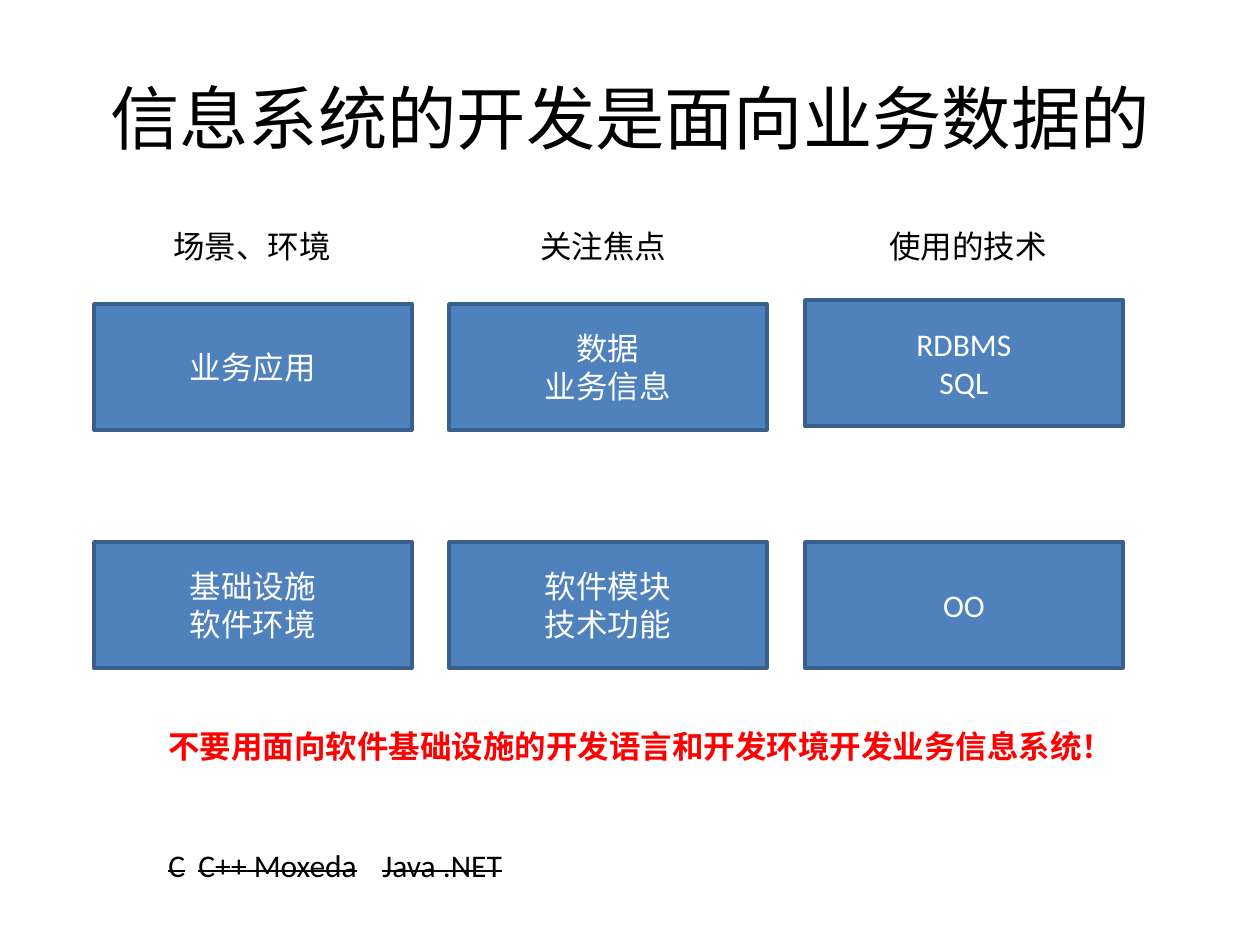
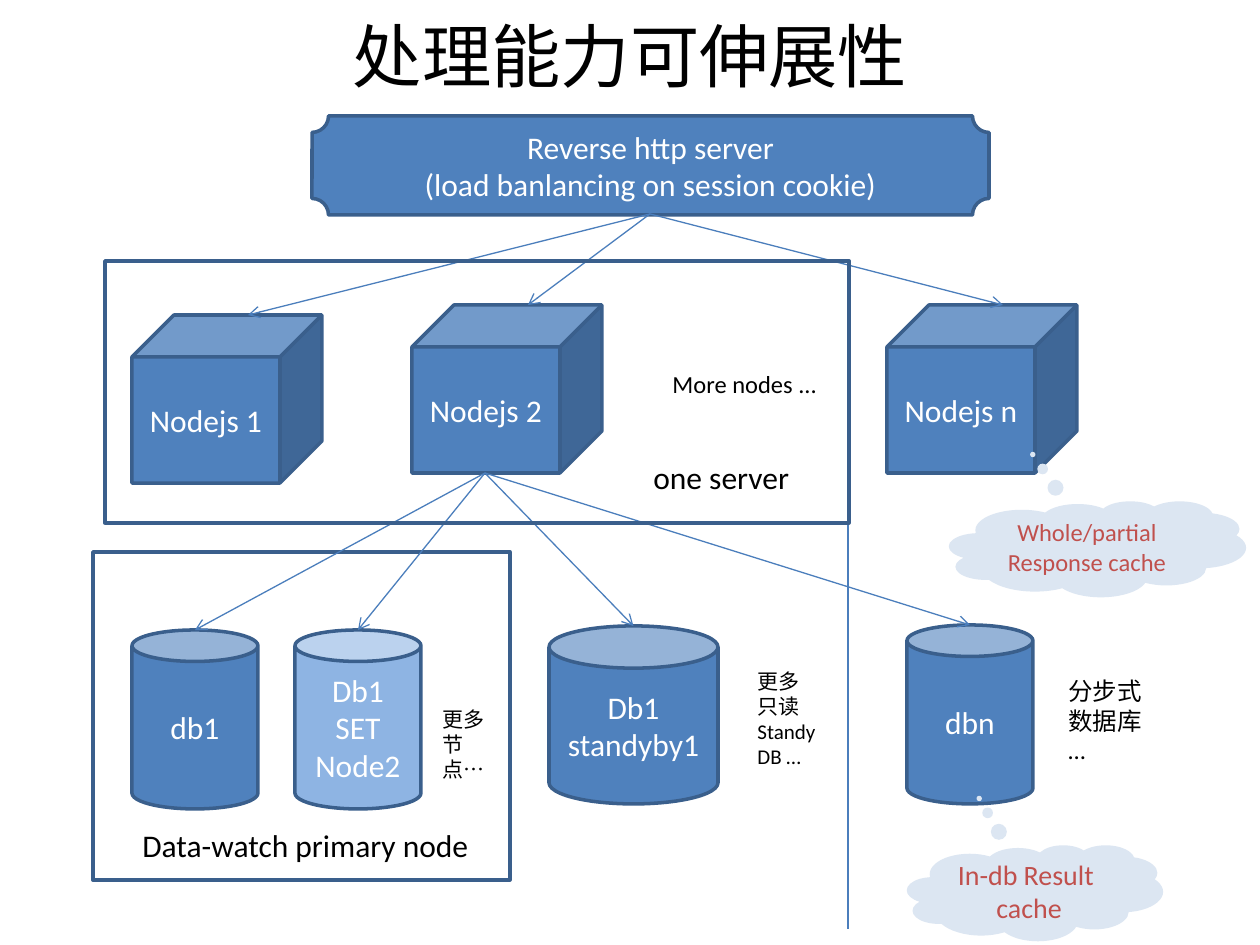
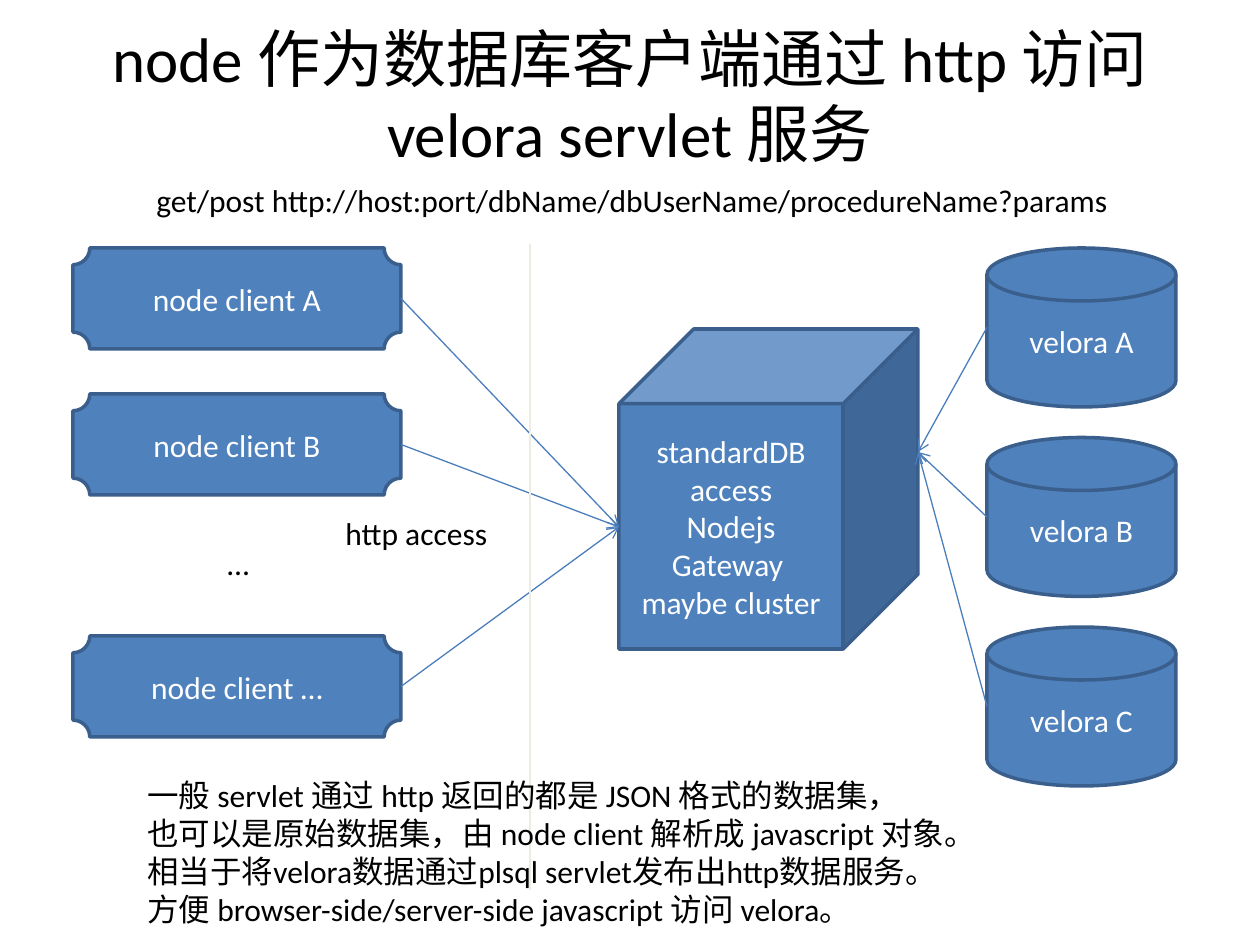
"""Build three slides on data-oriented systems, scalability and database access over HTTP."""
import lxml.etree
import pptx
import pptx.dml.color
import pptx.enum.shapes
import pptx.enum.text
import pptx.oxml.ns
import pptx.util

SHAPE = pptx.enum.shapes.MSO_SHAPE
ALIGN = pptx.enum.text.PP_ALIGN
ANCHOR = pptx.enum.text.MSO_ANCHOR
AUTO_SIZE = pptx.enum.text.MSO_AUTO_SIZE
BLUE, EDGE, LINK = "4F81BD", "3A5F8C", "4B7EBC"
PALE, SKY, RUST = "DCE6F2", "8EB4E3", "C0504D"
WHITE, BLACK, RED, CREAM = "FFFFFF", "000000", "FF0000", "EEECE1"


def px(*lengths):
    return [pptx.util.Emu(round(length * 914400 / 126)) for length in lengths]


def color(value):
    return pptx.dml.color.RGBColor.from_string(value)


def add_xml(parent, tag, **attributes):
    return lxml.etree.SubElement(parent, pptx.oxml.ns.qn(tag), attributes)


class Builder:
    def __init__(self):
        self.deck = pptx.Presentation()
        self.deck.slide_width, self.deck.slide_height = px(1260, 945)
        self.page = None

    def add_lines(self, frame, lines, size, ink, align, bold=False):
        for index, line in enumerate(lines):
            para = frame.paragraphs[0] if index == 0 else frame.add_paragraph()
            para.alignment = align
            span = para.add_run()
            span.text = line
            span.font.name = "Calibri"
            span.font.size = pptx.util.Pt(size)
            span.font.bold = bold
            span.font.color.rgb = color(ink)

    def slide(self, title, top, height, size=39.6):
        self.page = self.deck.slides.add_slide(self.deck.slide_layouts[5])
        box = self.page.shapes.title
        box.left, box.top, box.width, box.height = px(63, top, 1134, height)
        frame = box.text_frame
        frame.auto_size = AUTO_SIZE.NONE
        frame.vertical_anchor = ANCHOR.MIDDLE
        self.add_lines(frame, [title], size, BLACK, ALIGN.CENTER)

    def shape(self, kind, place, lines=(), fill=BLUE, edge=EDGE, ink=WHITE, size=18):
        box = self.page.shapes.add_shape(kind, *px(*place))
        box.shadow.inherit = False
        if fill:
            box.fill.solid()
            box.fill.fore_color.rgb = color(fill)
        else:
            box.fill.background()
        if edge:
            box.line.color.rgb = color(edge)
            box.line.width = pptx.util.Pt(2)
        else:
            box.line.fill.background()
        box.text_frame.word_wrap = True
        box.text_frame.vertical_anchor = ANCHOR.MIDDLE
        self.add_lines(box.text_frame, lines, size, ink, ALIGN.CENTER)
        return box

    def cloud(self, place, lines, size):
        box = self.shape(SHAPE.CLOUD_CALLOUT, place, lines, PALE, None, RUST, size)
        box.adjustments[0], box.adjustments[1] = -0.218, -0.985

    def text(self, place, lines, size=18, ink=BLACK, bold=False, wrap=False):
        box = self.page.shapes.add_textbox(*px(*place))
        box.text_frame.word_wrap = wrap
        box.text_frame.auto_size = AUTO_SIZE.SHAPE_TO_FIT_TEXT
        self.add_lines(box.text_frame, lines, size, ink, ALIGN.LEFT, bold)
        return box

    def struck_text(self, place, line, stops):
        para = self.text(place, [line], wrap=True).text_frame.paragraphs[0]
        tabs = add_xml(para._p.get_or_add_pPr(), "a:tabLst")
        for stop in px(*stops):
            add_xml(tabs, "a:tab", pos=str(stop), algn="l")
        para.runs[0].font._element.set("strike", "sngStrike")

    def line(self, start, end, ink=LINK, arrow=True):
        link = self.page.shapes.add_connector(
            pptx.enum.shapes.MSO_CONNECTOR.STRAIGHT, *px(*start, *end))
        link.line.color.rgb = color(ink)
        link.line.width = pptx.util.Pt(0.75)
        if arrow:
            add_xml(link.line._get_or_add_ln(), "a:tailEnd", type="arrow")
        add_xml(link._element.spPr, "a:effectLst")


def data_slide(builder):
    builder.slide("信息系统的开发是面向业务数据的", 38, 158)
    columns = [
        ("场景、环境", 161, 184, 94, 304, ["业务应用"], ["基础设施", "软件环境"]),
        ("关注焦点", 528, 159, 449, 304, ["数据", "业务信息"], ["软件模块", "技术功能"]),
        ("使用的技术", 877, 184, 805, 300, ["RDBMS", "SQL"], ["OO"]),
    ]
    for heading, heading_left, heading_width, left, top, business, software in columns:
        builder.text((heading_left, 221, heading_width, 50), [heading])
        builder.shape(SHAPE.RECTANGLE, (left, top, 318, 126), business)
        builder.shape(SHAPE.RECTANGLE, (left, 542, 318, 126), software)
    builder.text((156, 721, 980, 50),
                 ["不要用面向软件基础设施的开发语言和开发环境开发业务信息系统！"],
                 ink=RED, bold=True)
    builder.struck_text((156, 840, 363, 50), "C\tC++ Moxeda\tJava .NET", (30, 214))


def scaling_slide(builder):
    builder.slide("处理能力可伸展性", 16, 77)
    databases = [
        ((132, 630, 126, 179), ["db1"], BLUE),
        ((295, 630, 126, 179), ["Db1", "SET", "Node2"], SKY),
        ((549, 626, 169, 178), ["Db1", "standyby1"], BLUE),
        ((907, 625, 126, 179), ["dbn"], BLUE),
    ]
    nodes = [("Nodejs 1", 132, 315), ("Nodejs 2", 412, 305), ("Nodejs n", 887, 305)]
    for place, lines, fill in databases:
        builder.shape(SHAPE.CAN, place, lines, fill)
    builder.shape(SHAPE.RECTANGLE, (93, 552, 417, 328), fill=None)
    builder.text((430, 700, 82, 63), ["更多", "节点…"], 12, wrap=True)
    builder.text((1056, 670, 100, 102), ["分步式", "数据库", "…"], 14)
    builder.text((745, 662, 83, 115), ["更多", "只读", "Standy", "DB …"], 12)
    builder.line((848, 473), (848, 929), arrow=False)
    for name, left, top in nodes:
        builder.shape(SHAPE.CUBE, (left, top, 190, 168), [name])
    builder.text((660, 363, 171, 72), ["More nodes ..."], 14)
    builder.shape(SHAPE.PLAQUE, (312, 116, 677, 99),
                  ["Reverse http server", "(load banlancing on session cookie)"])
    for (left, top, width, _), _, _ in databases:
        builder.line((485, 473), (left + width / 2, top))
    for _, left, top in nodes:
        builder.line((650, 214), (left + 116, top))
    builder.text((130, 820, 352, 50), ["Data-watch primary node"])
    builder.shape(SHAPE.RECTANGLE, (105, 261, 744, 262), fill=None)
    builder.text((641, 452, 163, 50), ["one server"])
    builder.cloud((907, 845, 256, 96), ["In-db Result", " cache"], 16)
    builder.cloud((949, 501, 297, 96), ["Whole/partial", "Response cache"], 14)


def gateway_slide(builder):
    builder.slide("node 作为数据库客户端通过 http 访问 velora servlet 服务", 16, 158, 36)
    builder.shape(SHAPE.CUBE, (619, 329, 299, 320),
                  ["standardDB access", "Nodejs", "Gateway ", "maybe cluster"])
    for index, letter in enumerate("ABC"):
        top = 248 + 189.5 * index
        builder.shape(SHAPE.FLOWCHART_MAGNETIC_DISK, (987, top, 189, 159),
                      ["velora " + letter])
        builder.line((987, top + 79.5), (918, 452))
    for letter, top in (("A", 248), ("B", 394), ("…", 636)):
        builder.shape(SHAPE.PLAQUE, (73, top, 328, 101), ["node client " + letter])
        builder.line((401, top + 50.5), (619, 527))
    builder.text((215, 538, 48, 89), ["…"])
    builder.text((333, 508, 170, 50), ["http access"])
    builder.line((530, 244), (530, 890), CREAM, arrow=False)
    builder.text((144, 175, 989, 50),
                 ["get/post http://host:port/dbName/dbUserName/procedureName?params"])
    builder.text((135, 770, 863, 165), [
        "一般 servlet 通过 http 返回的都是 JSON 格式的数据集，",
        "也可以是原始数据集，由 node client 解析成 javascript 对象。",
        "相当于将velora数据通过plsql servlet发布出http数据服务。",
        "方便 browser-side/server-side javascript 访问 velora。",
    ])


builder = Builder()
data_slide(builder)
scaling_slide(builder)
gateway_slide(builder)
builder.deck.save("out.pptx")
